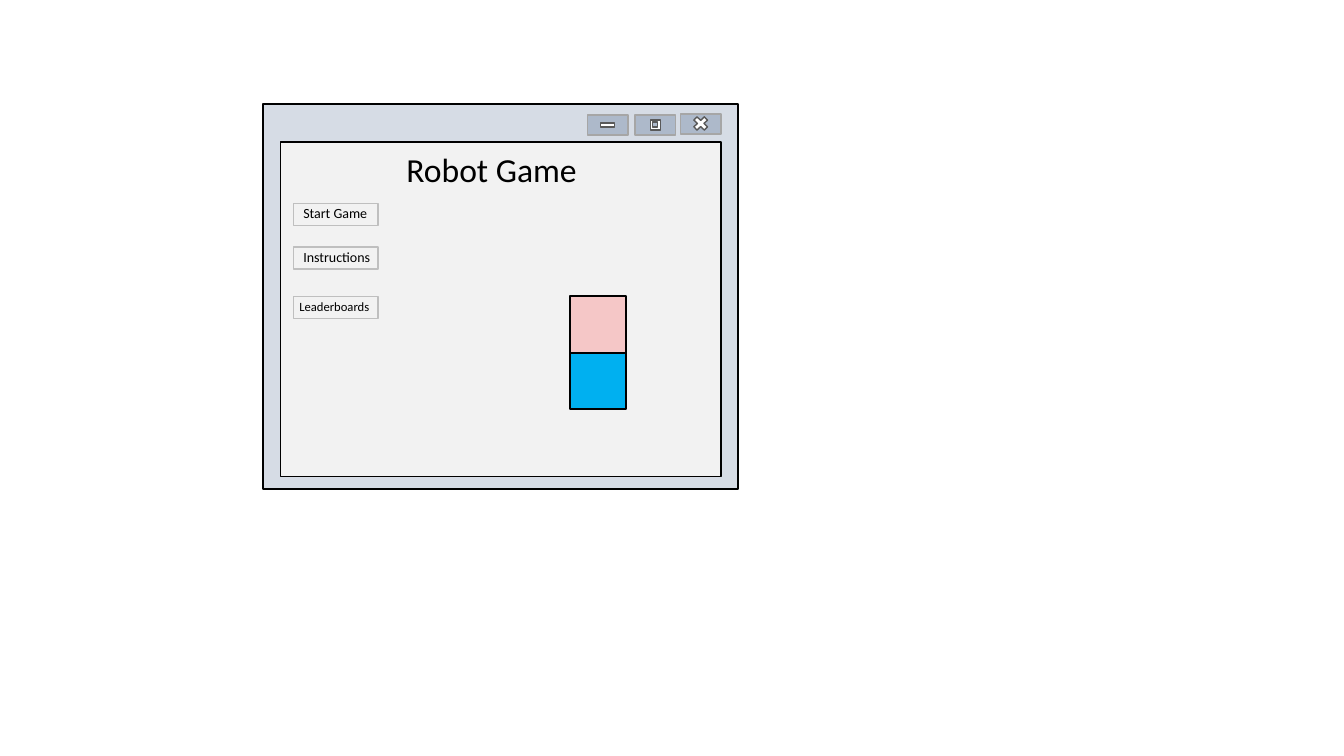
from pptx import Presentation
from pptx.dml.color import RGBColor
from pptx.enum.shapes import MSO_SHAPE
from pptx.enum.text import MSO_AUTO_SIZE, PP_ALIGN
from pptx.util import Inches, Pt

RECT = MSO_SHAPE.RECTANGLE
CROSS = MSO_SHAPE.MATH_MULTIPLY
MINUS = MSO_SHAPE.MATH_MINUS
LEFT, CENTER = PP_ALIGN.LEFT, PP_ALIGN.CENTER
GROW = MSO_AUTO_SIZE.SHAPE_TO_FIT_TEXT

BLACK = RGBColor(0x00, 0x00, 0x00)
WHITE = RGBColor(0xFF, 0xFF, 0xFF)
FRAME = RGBColor(0xD6, 0xDC, 0xE5)
PANEL = RGBColor(0xF2, 0xF2, 0xF2)
CONTROL = RGBColor(0xAD, 0xB9, 0xCA)
CONTROL_LINE = RGBColor(0xA6, 0xA6, 0xA6)
ICON_LINE = RGBColor(0x59, 0x59, 0x59)
BUTTON_LINE = RGBColor(0xBF, 0xBF, 0xBF)
PINK = RGBColor(0xF5, 0xC7, 0xC7)
BLUE = RGBColor(0x00, 0xB0, 0xF0)


class GameScreen:
    font = {"name": "Calibri"}

    def __init__(self, slide):
        self.slide = slide

    def shape(self, box, fill, line, width=1, kind=RECT, parent=None):
        shapes = (parent or self.slide).shapes
        sp = shapes.add_shape(kind, *map(Inches, box))
        sp.shadow.inherit = False
        sp.fill.solid()
        sp.fill.fore_color.rgb = fill
        sp.line.color.rgb = line
        sp.line.width = Pt(width)

    def text(self, box, words, size, align=LEFT, wrap=True, parent=None):
        shapes = (parent or self.slide).shapes
        tf = shapes.add_textbox(*map(Inches, box)).text_frame
        tf.word_wrap = wrap
        tf.auto_size = GROW
        p = tf.paragraphs[0]
        p.alignment = align
        r = p.add_run()
        r.text = words
        for name, value in {**self.font, "size": Pt(size)}.items():
            setattr(r.font, name, value)
        r.font.color.rgb = BLACK

    def group(self):
        return self.slide.shapes.add_group_shape()

    def window(self):
        """Draw the frame, the panel and the three window controls."""
        window = self.group()
        self.shape((2.61, 1.03, 4.71, 3.82), FRAME, BLACK, parent=window)
        self.shape((2.78, 1.41, 4.37, 3.32), PANEL, BLACK, parent=window)
        controls = [
            (6.75, 1.13, [((6.85, 1.13, 0.2, 0.19), CROSS, WHITE)]),
            (5.83, 1.14, [((5.93, 1.15, 0.19, 0.18), MINUS, WHITE)]),
            (6.3, 1.14, [((6.45, 1.19, 0.1, 0.1), RECT, WHITE),
                         ((6.47, 1.21, 0.05, 0.05), RECT, CONTROL)]),
        ]
        for x, y, icons in controls:
            self.shape((x, y, 0.4, 0.2), CONTROL, CONTROL_LINE, parent=window)
            for box, kind, fill in icons:
                self.shape(box, fill, ICON_LINE, kind=kind, parent=window)

    def button(self, y, label, label_box, size):
        button = self.group()
        self.shape((2.91, y, 0.84, 0.22), PANEL, BUTTON_LINE, parent=button)
        self.text(label_box, label, size, parent=button)

    def robot(self, x, y, side):
        robot = self.group()
        for i, fill in enumerate((PINK, BLUE)):
            self.shape((x, y + i * side, side, side), fill, BLACK, 1.5,
                       parent=robot)


def main():
    prs = Presentation()
    prs.slide_width, prs.slide_height = Inches(13.33), Inches(7.5)
    s = prs.slides.add_slide(prs.slide_layouts[6])
    screen = GameScreen(s)
    screen.window()
    screen.button(2.45, "Instructions", (2.91, 2.42, 1.18, 0.28), 10)
    screen.text((3.92, 1.43, 1.91, 0.5), "Robot Game", 24, CENTER, wrap=False)
    screen.button(2.02, "Start Game", (2.91, 1.98, 1.18, 0.28), 10)
    screen.robot(5.65, 2.94, 0.56)
    screen.button(2.94, "Leaderboards", (2.87, 2.92, 1.18, 0.25), 9)
    prs.save("out.pptx")


if __name__ == "__main__":
    main()
